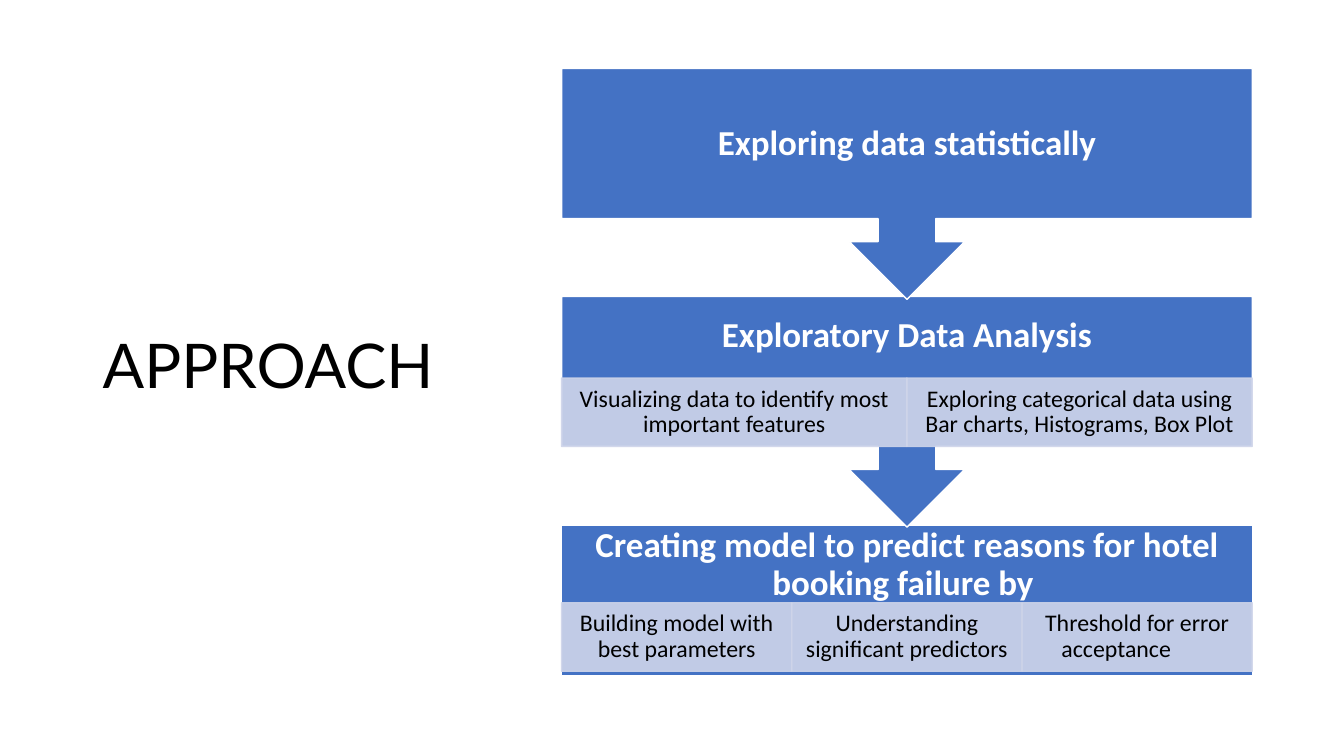
from lxml import etree
from pptx import Presentation
from pptx import util as u
from pptx.dml.color import RGBColor
from pptx.enum import shapes, text
from pptx.oxml.ns import qn

COLORS = {"step": "4472C4", "detail": "CFD5EA", "white": "FFFFFF", "black": "000000"}

# heading, top, shape height, heading height, detail offset, details
STEPS = [
    ("Exploring data statistically", 0.68, 2.29, 1.49, 0, []),
    ("Exploratory Data Analysis", 2.94, 2.29, 0.8, 0.81,
     ["Visualizing data to identify most important features",
      "Exploring categorical data using Bar charts, Histograms, Box Plot"]),
    ("Creating model to predict reasons for hotel booking failure by ",
     5.21, 1.49, 0.8, 0.77,
     ["Building model with best parameters",
      "Understanding significant predictors",
      "Threshold for error acceptance\t"]),
]
DETAIL_HEIGHT = 0.68


def color(name):
    return RGBColor.from_string(COLORS[name])


def inches(*values):
    return [u.Inches(value) for value in values]


def write(shape, wording, size, font, ink, margins, bold=False,
          align=text.PP_ALIGN.CENTER):
    frame = shape.text_frame
    frame.text = wording
    frame.word_wrap = True
    frame.vertical_anchor = text.MSO_ANCHOR.MIDDLE
    frame.margin_left = frame.margin_right = u.Inches(margins[0])
    frame.margin_top = frame.margin_bottom = u.Inches(margins[1])
    paragraph = frame.paragraphs[0]
    paragraph.alignment = align
    paragraph.line_spacing = 0.9
    style = paragraph.runs[0].font
    style.size, style.name, style.bold = u.Pt(size), font, bold
    style.color.rgb = color(ink)


def add_block(slide, kind, box, fill, line, opacity=100):
    shape = slide.shapes.add_shape(kind, *inches(*box))
    shape.shadow.inherit = False
    shape.fill.solid()
    shape.fill.fore_color.rgb = color(fill)
    shape.line.color.rgb = color(line)
    shape.line.width = u.Pt(1)
    if opacity < 100:
        properties = shape.fill._xPr
        for solid in properties.iter(qn("a:solidFill")):
            etree.SubElement(solid[0], qn("a:alpha"), val=str(opacity * 1000))
    return shape


def add_title(slide, box):
    title = slide.shapes.add_textbox(*inches(*box))
    write(title, "APPROACH", 44, "Lato", "black", (0.1, 0.05),
          align=text.PP_ALIGN.LEFT)


def add_step(slide, left, width, step, is_last):
    heading, top, height, heading_height, offset, details = step

    # Block, with an arrow to the next step
    kind = shapes.MSO_SHAPE.RECTANGLE if is_last else shapes.MSO_SHAPE.UP_ARROW_CALLOUT
    block = add_block(slide, kind, (left, top, width, height), "step", "white")
    block.rotation = 0 if is_last else 180

    # Heading, kept apart so that it stays upright
    label = slide.shapes.add_textbox(*inches(left, top, width, heading_height))
    write(label, heading, 25, "Calibri", "white", (0.19, 0.19), bold=True)

    # Details in equal columns
    for column, detail in enumerate(details):
        cell_width = width / len(details)
        box = (left + column * cell_width, top + offset, cell_width, DETAIL_HEIGHT)
        cell = add_block(slide, shapes.MSO_SHAPE.RECTANGLE, box, "detail", "detail", 90)
        write(cell, detail, 17, "Calibri", "black", (0.13, 0.02))


def add_process(slide, left, width):
    # Last step first, so each arrow tip lies over the block below
    for step in reversed(STEPS):
        add_step(slide, left, width, step, step is STEPS[-1])


def main():
    presentation = Presentation()
    presentation.slide_width, presentation.slide_height = inches(13.33, 7.5)
    slide = presentation.slides.add_slide(presentation.slide_layouts[6])
    add_title(slide, (0.92, 0.61, 3.69, 6.09))
    add_process(slide, 5.57, 6.85)
    presentation.save("out.pptx")


if __name__ == "__main__":
    main()
